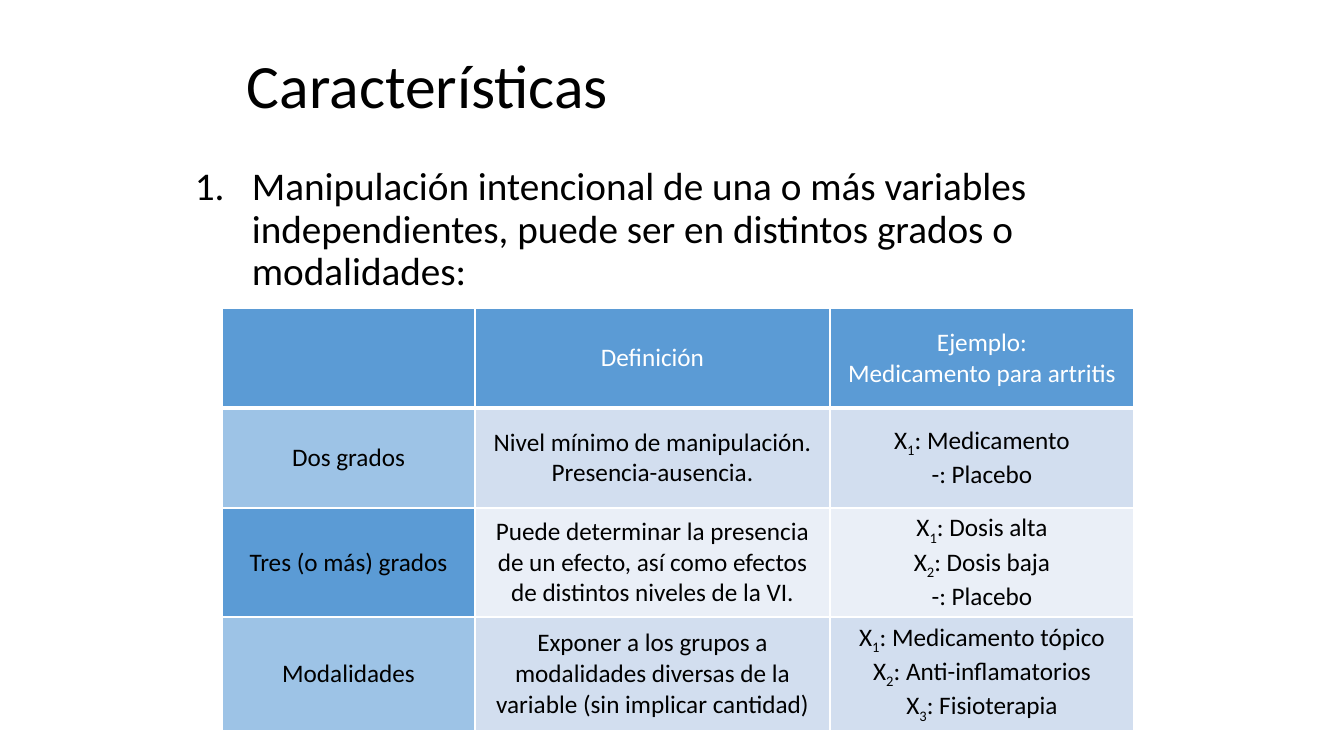
"""Build the slide on the traits of experiments with its table of manipulation levels."""
from lxml import etree
from pptx import Presentation, util as u
from pptx.dml.color import RGBColor
from pptx.enum import text
from pptx.oxml import ns

PX = 914400 / 100.8


def px(count):
    return u.Emu(round(count * PX))


def write(paragraph, line, size, color):
    pieces = [line[0], line[1], line[2:]] if line.startswith("X") else [line]
    for position, piece in enumerate(pieces):
        run = paragraph.add_run()
        run.text = piece
        for key, value in {"name": "Calibri", "size": u.Pt(size)}.items():
            setattr(run.font, key, value)
        run.font.color.rgb = RGBColor.from_string(color)
        if position == 1:
            run.font._element.set("baseline", "-25000")


deck = Presentation()
deck.slide_width, deck.slide_height = px(1344), px(756)
slide = deck.slides.add_slide(deck.slide_layouts[6])

headings = [
    ("Características", 44, (237, 16, 869, 146), text.MSO_ANCHOR.MIDDLE),
    ("Manipulación intencional de una o más variables independientes, "
     "puede ser en distintos grados o modalidades:",
     28, (185, 162, 990, 480), text.MSO_ANCHOR.TOP),
]
for wording, size, place, anchor in headings:
    frame = slide.shapes.add_textbox(*map(px, place)).text_frame
    for key, value in {"word_wrap": True, "vertical_anchor": anchor}.items():
        setattr(frame, key, value)
    statement = frame.paragraphs[0]
    statement.line_spacing = 0.9
    write(statement, wording, size, "000000")

numbering = statement._p.get_or_add_pPr()
numbering.set("marL", str(px(57)))
numbering.set("indent", str(px(-57)))
etree.SubElement(numbering, ns.qn("a:buAutoNum"), type="arabicPeriod")

levels = [
    ("", "Definición", "Ejemplo:\nMedicamento para artritis"),
    ("Dos grados", "Nivel mínimo de manipulación. Presencia-ausencia.",
     "X1: Medicamento\n-: Placebo"),
    ("Tres (o más) grados",
     "Puede determinar la presencia de un efecto, así como efectos "
     "de distintos niveles de la VI.",
     "X1: Dosis alta\nX2: Dosis baja\n-: Placebo"),
    ("Modalidades",
     "Exponer a los grupos a modalidades diversas de la variable "
     "(sin implicar cantidad)",
     "X1: Medicamento tópico\nX2: Anti-inflamatorios\nX3: Fisioterapia"),
]
row_fills = [("5B9BD5", "5B9BD5"), ("9DC3E6", "D2DEEF"),
             ("5B9BD5", "EAEFF7"), ("9DC3E6", "D2DEEF")]
column_widths = [253, 355, 304]

grid = slide.shapes.add_table(
    len(levels), len(column_widths), px(222), px(308), px(sum(column_widths)), px(400)).table
for flag in ("first_row", "horz_banding"):
    setattr(grid, flag, False)
for column, width in zip(grid.columns, column_widths):
    column.width = px(width)

for r, (level, (label_fill, body_fill)) in enumerate(zip(levels, row_fills)):
    grid.rows[r].height = px(100)
    for c, wording in enumerate(level):
        cell = grid.cell(r, c)
        cell.vertical_anchor = text.MSO_ANCHOR.MIDDLE
        for side in ("lnL", "lnR", "lnT", "lnB"):
            weight = 3 if r == 0 and side == "lnB" else 1
            border = etree.SubElement(
                cell._tc.get_or_add_tcPr(), ns.qn(f"a:{side}"), w=str(u.Pt(weight)))
            ink = etree.SubElement(border, ns.qn("a:solidFill"))
            etree.SubElement(ink, ns.qn("a:srgbClr"), val="FFFFFF")
        cell.fill.solid()
        cell.fill.fore_color.rgb = RGBColor.from_string(body_fill if c else label_fill)
        for n, line in enumerate(wording.splitlines()):
            frame = cell.text_frame
            paragraph = frame.add_paragraph() if n else frame.paragraphs[0]
            paragraph.alignment = text.PP_ALIGN.CENTER
            write(paragraph, line, 18, "000000" if r else "FFFFFF")

deck.save("out.pptx")
